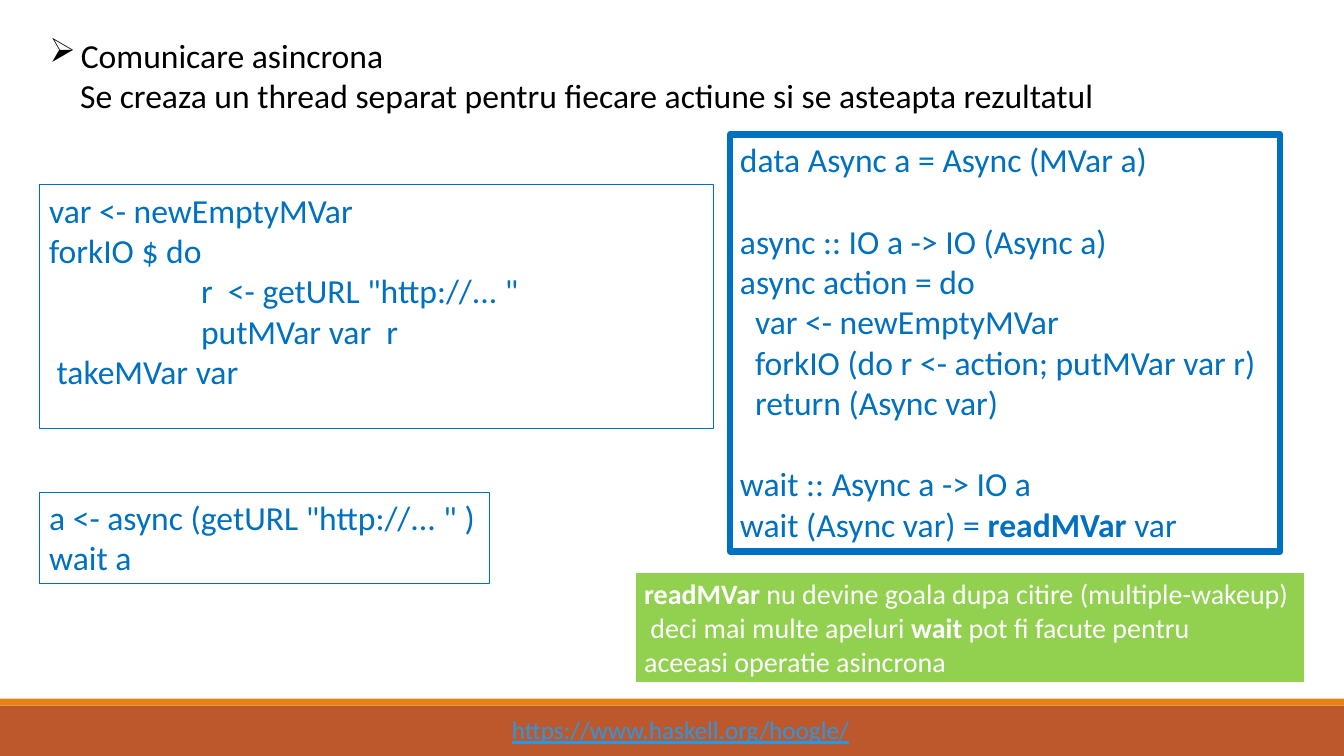
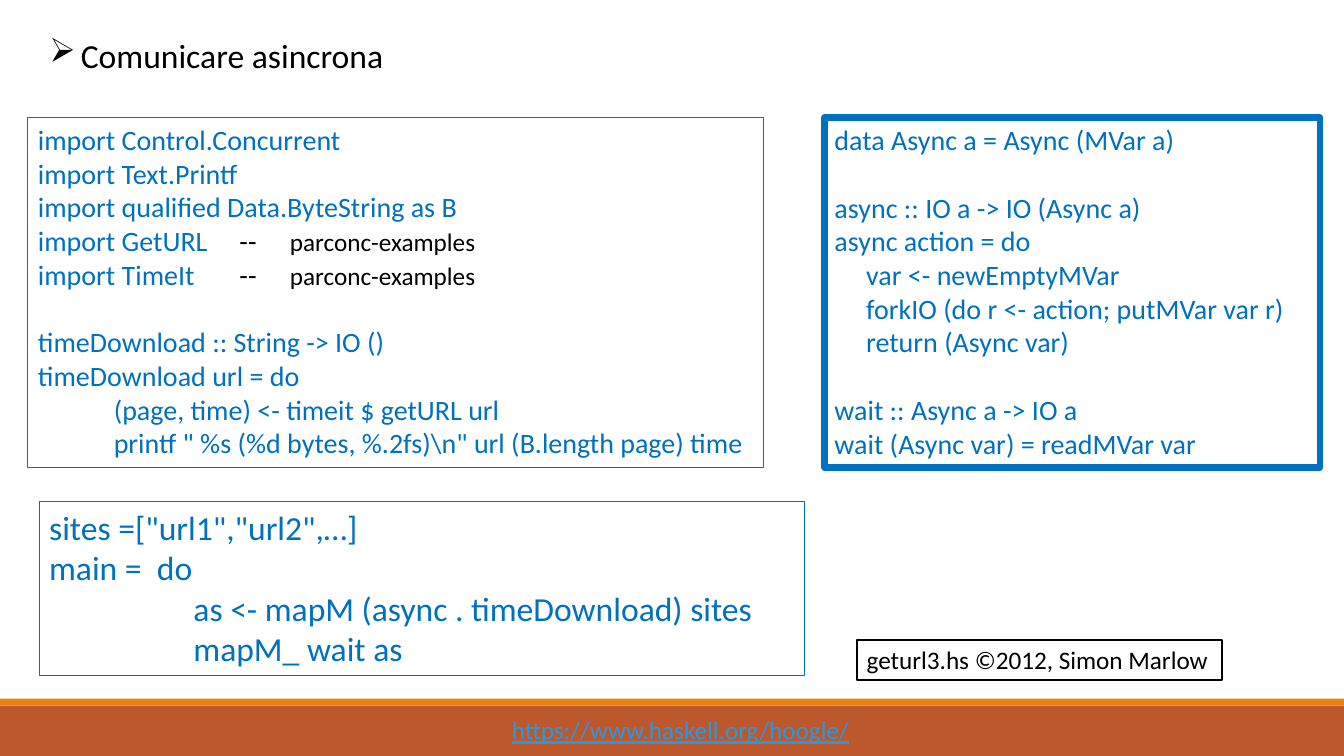
from lxml import etree
from pptx import Presentation
from pptx import util as u
from pptx.dml import color as dml
from pptx.enum import shapes, text
from pptx.oxml import ns

Pt = u.Pt

# Shared look
FONT = "Calibri"
BLUE, BLACK, WHITE = "0070C0", "000000", "FFFFFF"
GREEN, RUST, AMBER, LINK = "92D050", "BD582C", "E48312", "2998E3"
WIDE, HIGH = 960, 540
SPACE = 0.226   # width of a space, in ems
LEAD = 1.22     # height of a line, in ems

# Definition of async and wait; both slides show it
ASYNC = """data Async a = Async (MVar a)

async :: IO a -> IO (Async a)
async action = do
{0}var <- newEmptyMVar
{0}forkIO (do r <- action; putMVar var r)
{0}return (Async var)

wait :: Async a -> IO a"""


def paint(target, shade):
    """Set a fill or a font colour from a hex string."""
    if hasattr(target, "solid"):
        target.solid()
        target = target.fore_color
    else:
        target = target.color
    target.rgb = dml.RGBColor.from_string(shade)


def add_run(para, words, size=24, color=BLUE, bold=False, under=False):
    run = para.add_run()
    run.text = words
    font = run.font
    font.name, font.size = FONT, Pt(size)
    font.bold, font.underline = bold, under
    paint(font, color)


def indent(para, left, first=0, bullet=None):
    props = para._p.get_or_add_pPr()
    props.set("marL", str(Pt(left)))
    props.set("indent", str(Pt(first)))
    if bullet:
        mark = etree.SubElement(props, ns.qn("a:buChar"))
        mark.set("char", bullet)


def set_tabs(para, stops):
    tabs = etree.SubElement(para._p.get_or_add_pPr(), ns.qn("a:tabLst"))
    for stop in stops:
        tab = etree.SubElement(tabs, ns.qn("a:tab"))
        tab.set("pos", str(Pt(stop)))
        tab.set("algn", "l")


def write(shape, words, size=24, **style):
    """Write lines: leading spaces indent, an empty line is a gap,
    ** switches bold. Return the paragraphs."""
    frame = shape.text_frame
    frame.word_wrap = True
    frame.auto_size = text.MSO_AUTO_SIZE.NONE
    frame.vertical_anchor = text.MSO_ANCHOR.TOP
    paras, gap = [], 0
    for line in words.split("\n"):
        if not line:
            gap += size * LEAD
            continue
        para = frame.add_paragraph() if paras else frame.paragraphs[0]
        para.alignment = text.PP_ALIGN.LEFT
        para.space_before = Pt(gap)
        body = line.lstrip(" ")
        indent(para, round((len(line) - len(body)) * size * SPACE, 1))
        for i, part in enumerate(body.split("**")):
            if part:
                add_run(para, part, size, bold=i % 2 == 1, **style)
        paras.append(para)
        gap = 0
    return paras


def add_box(slide, area, fill=None, line=None, weight=0.75):
    box = slide.shapes.add_shape(
        shapes.MSO_SHAPE.RECTANGLE, *map(Pt, area))
    box.shadow.inherit = False
    if fill:
        paint(box.fill, fill)
    else:
        box.fill.background()
    if line:
        paint(box.line.fill, line)
        box.line.width = Pt(weight)
    else:
        box.line.fill.background()
    return box


def add_code(slide, area, words, size=24, weight=0.75):
    return write(add_box(slide, area, line=BLUE, weight=weight), words, size)


def add_title(slide, area, note=None):
    title = slide.shapes.title
    title.left, title.top, title.width, title.height = map(Pt, area)
    head = "Comunicare asincrona"
    paras = write(title, f"{head}\n{note}" if note else head, color=BLACK)
    indent(paras[0], 22.5, -22.5, "➢")
    for para in paras[1:]:
        indent(para, 22)


def add_foot(slide):
    add_box(slide, (0, 504, WIDE, 36), RUST)
    add_box(slide, (0, 499, WIDE, 5), AMBER)
    link = slide.shapes.add_textbox(*map(Pt, (358.5, 507, 258.5, 29)))
    write(link, "https://www.haskell.org/hoogle/", 18, color=LINK, under=True)


def add_slide(deck, area, note=None):
    slide = deck.slides.add_slide(deck.slide_layouts[5])
    add_title(slide, area, note)
    add_foot(slide)
    return slide


def build_idea(deck):
    slide = add_slide(
        deck, (28, 21, 775, 65.5),
        "Se creaza un thread separat pentru fiecare actiune "
        "si se asteapta rezultatul")
    add_code(slide, (521.5, 96, 393, 298),
             ASYNC.format(" " * 2) + "\nwait (Async var) = **readMVar **var",
             weight=4.5)
    add_code(slide, (28, 132, 481.5, 174), """var <- newEmptyMVar
forkIO $ do
                    r  <- getURL "http://... "
                    putMVar var  r
 takeMVar var""")
    add_code(slide, (28, 351.5, 322, 65.5),
             'a <- async (getURL "http://... " )\nwait a')

    # Remark on readMVar
    box = add_box(slide, (453, 408.5, 479.5, 80), GREEN, WHITE, 2)
    write(box, """**readMVar** nu devine goala dupa citire (multiple-wakeup)
 deci mai multe apeluri **wait **pot fi facute pentru
aceeasi operatie asincrona""", 20, color=WHITE)


def build_demo(deck):
    slide = add_slide(deck, (28, 21, 255.5, 36))
    add_code(slide, (589, 84, 354, 250),
             ASYNC.format(" " * 5) + "\nwait (Async var) = readMVar var",
             20, 4.5)
    paras = add_code(slide, (20, 84, 525.5, 250), """import Control.Concurrent
import Text.Printf
import qualified Data.ByteString as B
import GetURL
import TimeIt

timeDownload :: String -> IO ()
timeDownload url = do
            (page, time) <- timeit $ getURL url
            printf " %s (%d bytes, %.2fs)\\n" url (B.length page) time""", 20)

    # Comments beside the two helper imports
    for para, stop in zip(paras[3:5], (152, 156)):
        set_tabs(para, (130, stop))
        add_run(para, "\t--\t", 20, BLACK)
        add_run(para, "parconc-examples", 18, BLACK)

    add_code(slide, (28, 358.5, 547, 124), """sites =["url1","url2",…]
main =  do
                   as <- mapM (async . timeDownload) sites
                   mapM_ wait as""")

    # Source of the program
    box = add_box(slide, (612, 457, 261, 29), WHITE, BLACK, 1.25)
    write(box, "geturl3.hs ©2012, Simon Marlow", 18, color=BLACK)


def main():
    deck = Presentation()
    deck.slide_width, deck.slide_height = Pt(WIDE), Pt(HIGH)
    build_idea(deck)
    build_demo(deck)
    deck.save("out.pptx")


if __name__ == "__main__":
    main()
